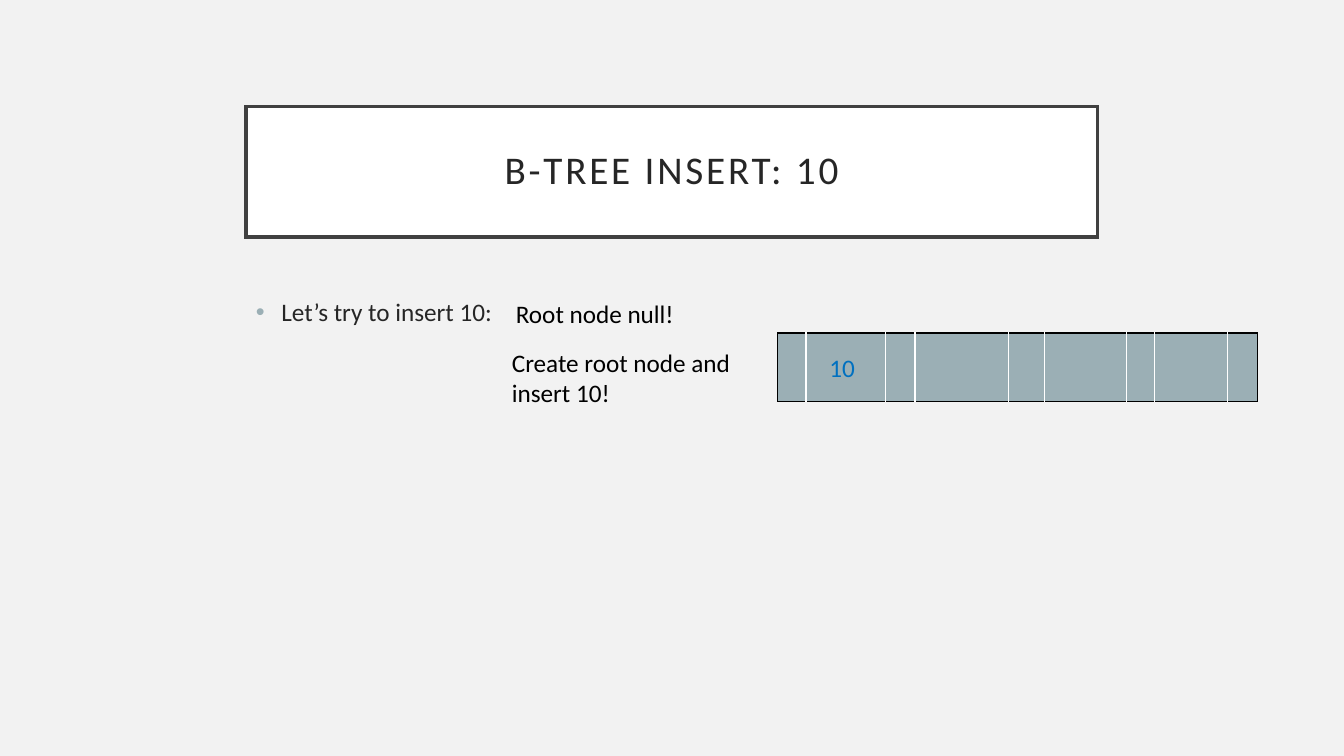
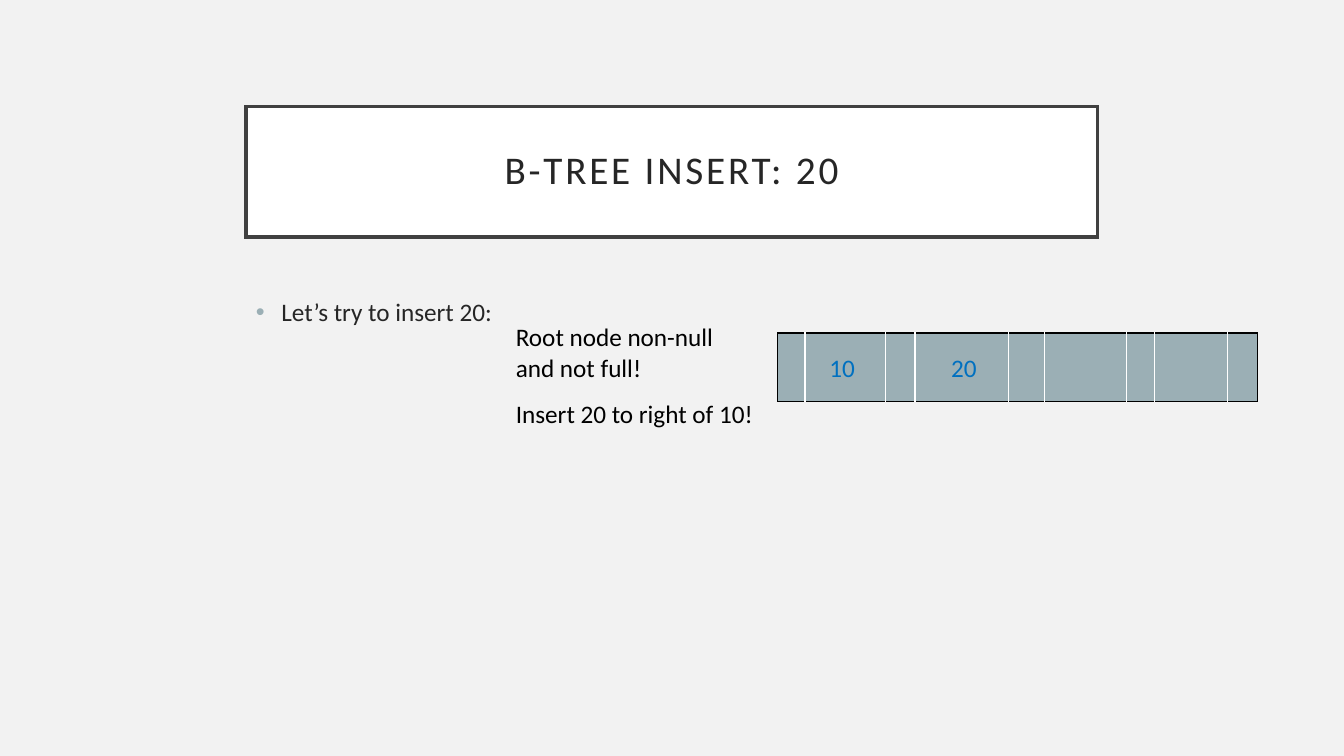
from dataclasses import dataclass
from typing import NamedTuple

from pptx import Presentation
from pptx import util as u
from pptx.dml.color import RGBColor
from pptx.enum import shapes, text
from pptx.oxml import ns
from lxml import etree


@dataclass(frozen=True)
class Theme:
    background: str = "F2F2F2"
    title_fill: str = "FFFFFF"
    title_line: str = "404040"
    heading: str = "262626"
    note: str = "000000"
    key: str = "0070C0"
    node: str = "9BAFB5"
    node_edge: str = "000000"
    node_divider: str = "FFFFFF"
    font: str = "Calibri"
    title_size: int = 28
    body_size: int = 18


THEME = Theme()


class Box(NamedTuple):
    """A place on the slide, in centimetres."""
    left: float
    top: float
    width: float
    height: float

    def lengths(self) -> list:
        return [u.Cm(value) for value in self]


class Label(NamedTuple):
    wording: str
    box: Box


@dataclass(frozen=True)
class Step:
    """One insertion: the key, the notes on it and the node afterwards."""
    key: int
    notes: list[Label]
    stored: list[int]
    node_widths: list[float]


TITLE = Box(6.2, 2.68, 21.46, 3.3)
BODY = Box(6.2, 7.34, 21.46, 8.61)
NODE_LEFT, NODE_TOP, NODE_HEIGHT = 19.6, 8.39, 1.73
KEY_LEFTS = [20.65, 23.72]
KEY_TOP, KEY_WIDTH = 8.76, 1.4
ONE_LINE, TWO_LINES = 1.02, 1.8
SHARED_WIDTHS = [0.74, 2.36, 0.91, 2.06, 0.71, 1.83, 0.76]

STEPS = [
    Step(10,
         [Label("Root node null!", Box(12.75, 7.39, 5.21, ONE_LINE)),
          Label("Create root node and\ninsert 10!", Box(12.65, 8.63, 7.44, TWO_LINES))],
         [10], [0.71, 2.01, *SHARED_WIDTHS]),
    Step(20,
         [Label("Root node non-null\nand not full!", Box(12.75, 7.98, 6.45, TWO_LINES)),
          Label("Insert 20 to right of 10!", Box(12.75, 9.91, 7.24, ONE_LINE))],
         [10, 20], [0.69, 2.03, *SHARED_WIDTHS]),
]


def rgb(colour: str) -> RGBColor:
    return RGBColor.from_string(colour)


def add_bullet(paragraph) -> None:
    properties = paragraph._p.get_or_add_pPr()
    properties.set("marL", str(u.Cm(0.64)))
    properties.set("indent", str(-u.Cm(0.64)))
    colour = etree.SubElement(properties, ns.qn("a:buClr"))
    etree.SubElement(colour, ns.qn("a:srgbClr"), val=THEME.node)
    etree.SubElement(properties, ns.qn("a:buFont"), typeface="Arial")
    etree.SubElement(properties, ns.qn("a:buChar"), char="•")


def write(frame, wording: str, *, colour: str, size: int = THEME.body_size,
          align=text.PP_ALIGN.LEFT, line_spacing: float | None = None,
          letter_spacing: int = 0, bullet: bool = False) -> None:
    """Fill a text frame, one paragraph for each line; letter_spacing in points."""
    for number, line in enumerate(wording.split("\n")):
        paragraph = frame.add_paragraph() if number else frame.paragraphs[0]
        paragraph.alignment = align
        if line_spacing:
            paragraph.line_spacing = line_spacing
        if bullet:
            add_bullet(paragraph)
        run = paragraph.add_run()
        run.text = line
        run.font.name = THEME.font
        run.font.size = u.Pt(size)
        run.font.color.rgb = rgb(colour)
        if letter_spacing:
            run._r.get_or_add_rPr().set("spc", str(letter_spacing * 100))


def add_title(slide, wording: str) -> None:
    title = slide.shapes.add_shape(shapes.MSO_SHAPE.RECTANGLE, *TITLE.lengths())
    title.shadow.inherit = False
    title.fill.solid()
    title.fill.fore_color.rgb = rgb(THEME.title_fill)
    title.line.color.rgb = rgb(THEME.title_line)
    title.line.width = u.Pt(2.5)
    outline = title._element.spPr.find(ns.qn("a:ln"))
    etree.SubElement(outline, ns.qn("a:miter"), lim="800000")
    frame = title.text_frame
    frame.word_wrap = True
    frame.vertical_anchor = text.MSO_ANCHOR.MIDDLE
    frame.margin_left = frame.margin_right = u.Cm(0.51)
    frame.margin_top = frame.margin_bottom = u.Cm(0.51)
    write(frame, wording, colour=THEME.heading, size=THEME.title_size,
          align=text.PP_ALIGN.CENTER, line_spacing=0.9, letter_spacing=2)


def add_body(slide, wording: str) -> None:
    frame = slide.shapes.add_textbox(*BODY.lengths()).text_frame
    frame.word_wrap = True
    write(frame, wording, colour=THEME.heading, bullet=True)


def add_label(slide, label: Label, colour: str) -> None:
    frame = slide.shapes.add_textbox(*label.box.lengths()).text_frame
    frame.word_wrap = False
    frame.auto_size = text.MSO_AUTO_SIZE.SHAPE_TO_FIT_TEXT
    write(frame, label.wording, colour=colour)


def set_borders(cell, left: str, right: str) -> None:
    properties = cell._tc.get_or_add_tcPr()
    edges = {"L": left, "R": right, "T": THEME.node_edge, "B": THEME.node_edge}
    for side, colour in edges.items():
        line = etree.SubElement(properties, ns.qn(f"a:ln{side}"), w=str(u.Pt(1)))
        fill = etree.SubElement(line, ns.qn("a:solidFill"))
        etree.SubElement(fill, ns.qn("a:srgbClr"), val=colour)


def add_node(slide, widths: list[float]) -> None:
    """Draw a B-tree node: pointer cells alternating with key cells."""
    box = Box(NODE_LEFT, NODE_TOP, sum(widths), NODE_HEIGHT)
    node = slide.shapes.add_table(1, len(widths), *box.lengths()).table
    node.first_row = node.horz_banding = False
    last = len(widths) - 1
    for column, width in enumerate(widths):
        node.columns[column].width = u.Cm(width)
        cell = node.cell(0, column)
        set_borders(cell,
                    left=THEME.node_divider if column else THEME.node_edge,
                    right=THEME.node_divider if column < last else THEME.node_edge)
        cell.fill.solid()
        cell.fill.fore_color.rgb = rgb(THEME.node)


def add_step(deck, step: Step) -> None:
    slide = deck.slides.add_slide(deck.slide_layouts[6])
    slide.background.fill.solid()
    slide.background.fill.fore_color.rgb = rgb(THEME.background)
    add_title(slide, f"B-TREE INSERT: {step.key}")
    add_body(slide, f"Let’s try to insert {step.key}:")
    add_node(slide, step.node_widths)
    for note in step.notes:
        add_label(slide, note, THEME.note)
    for key, left in zip(step.stored, KEY_LEFTS):
        add_label(slide, Label(str(key), Box(left, KEY_TOP, KEY_WIDTH, ONE_LINE)), THEME.key)


def main() -> None:
    deck = Presentation()
    deck.slide_width, deck.slide_height = u.Cm(33.87), u.Cm(19.05)
    for step in STEPS:
        add_step(deck, step)
    deck.save("out.pptx")


if __name__ == "__main__":
    main()
